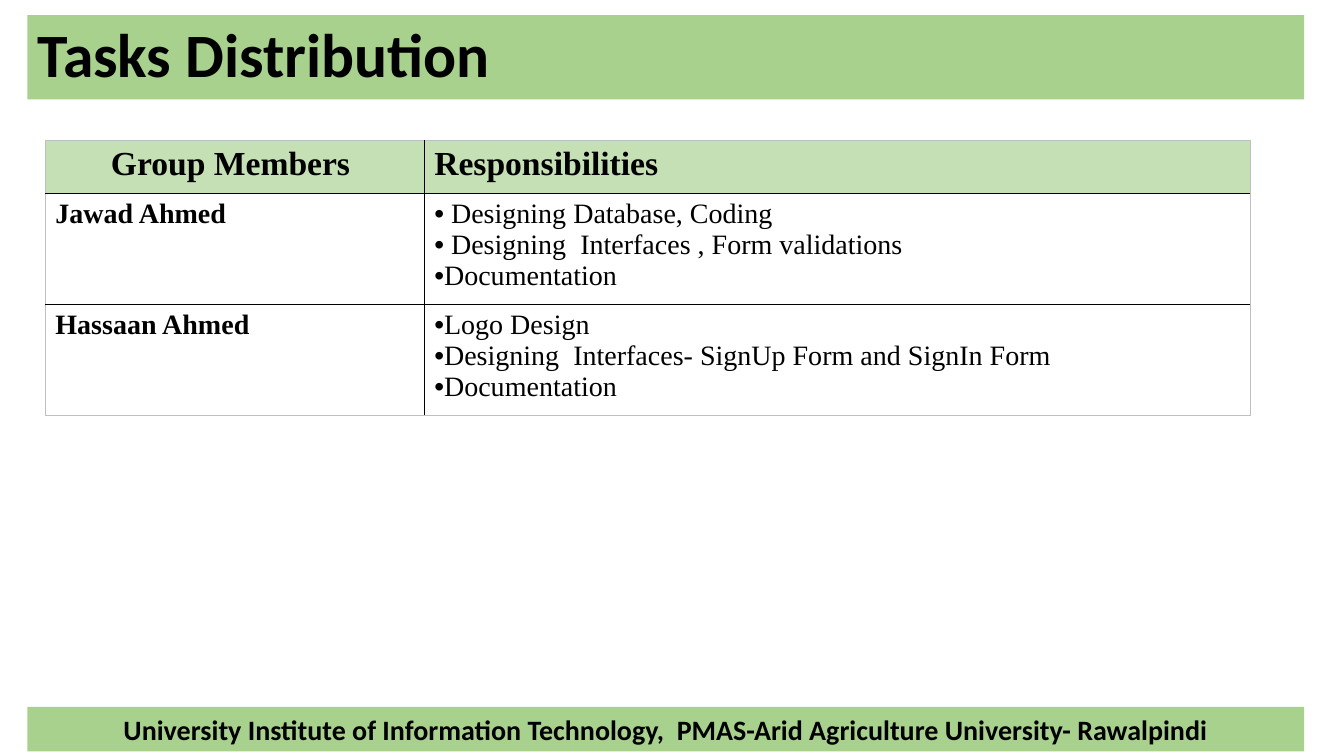
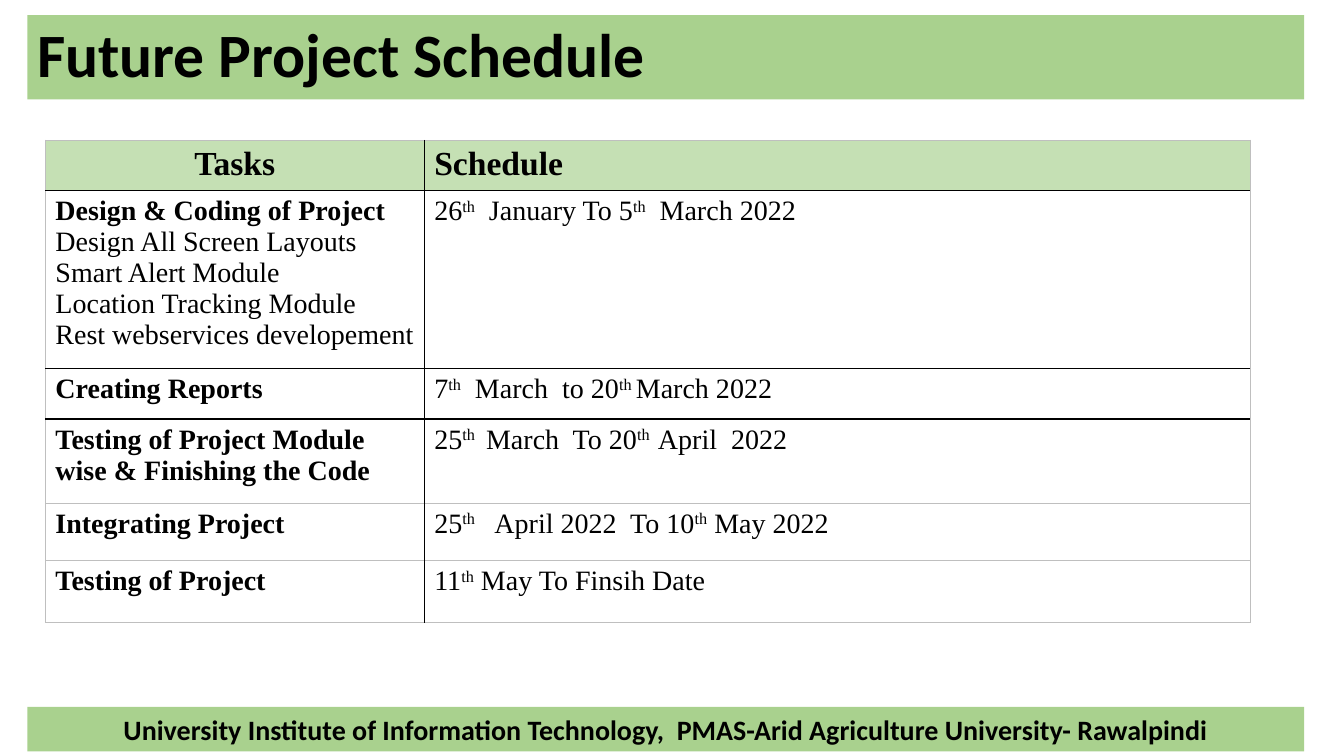
from dataclasses import dataclass

from lxml.etree import SubElement
from pptx import Presentation as Deck
from pptx.dml.color import RGBColor as Color
from pptx.enum.shapes import MSO_SHAPE as Kind
from pptx.enum.text import MSO_ANCHOR as Anchor, PP_ALIGN as Align
from pptx.oxml import parse_xml
from pptx.oxml.ns import nsdecls, qn
from pptx.util import Pt


@dataclass(frozen=True)
class Theme:
    band: str = "A9D18E"
    head: str = "C5E0B4"
    ink: str = "000000"
    edge: str = "BFBFBF"
    sans: str = "Calibri"
    serif: str = "Times New Roman"
    title: int = 44
    label: int = 24
    body: int = 20
    rule: float = 1
    frame: float = 0.5


@dataclass(frozen=True)
class Line:
    text: str
    size: int = Theme.body
    bold: bool = False
    dot: bool = False
    align: Align = Align.LEFT


@dataclass(frozen=True)
class Box:
    left: float
    top: float
    width: float
    height: float = 0

    def points(self):
        return [Pt(v) for v in (self.left, self.top, self.width, self.height)]


LOOK = Theme()
PAGE = Box(0, 0, 960, 540)
TITLE = Box(19.5, 10.8, 912, 60.2)
FOOT = Box(19.5, 505, 912, 31.7)
GRID = Box(32.4, 100.1, 860.6)
SPLIT = 270.6 / 860.6
CREDIT = "University Institute of Information Technology,  PMAS-Arid Agriculture University- Rawalpindi"


def add_run(para, text, face, size, bold, raised=False):
    run = para.add_run()
    run.text = text
    font = run.font
    font.name, font.size, font.bold = face, Pt(size), bold
    font.color.rgb = Color.from_string(LOOK.ink)
    if raised:
        font._element.set("baseline", "30000")


def add_band(slide, box, text, size, align, space=1.0):
    band = slide.shapes.add_shape(Kind.RECTANGLE, *box.points())
    band.shadow.inherit = False
    band.fill.solid()
    band.fill.fore_color.rgb = Color.from_string(LOOK.band)
    band.line.fill.background()
    frame = band.text_frame
    frame.word_wrap = True
    frame.vertical_anchor = Anchor.MIDDLE
    para = frame.paragraphs[0]
    para.alignment, para.line_spacing = align, space
    add_run(para, text, LOOK.sans, size, True)


def add_line(para, line):
    para.alignment = line.align
    if line.dot:
        props = para._p.get_or_add_pPr()
        props.set("marL", "0")
        props.set("indent", "0")
        SubElement(props, qn("a:buFont"), typeface="Arial")
        SubElement(props, qn("a:buChar"), char="•")
    for i, part in enumerate(line.text.split("^")):
        if part:
            add_run(para, part, LOOK.serif, line.size, line.bold, i % 2 == 1)


def set_edges(cell, outer):
    props = cell._tc.get_or_add_tcPr()
    for i, side in enumerate("LRTB"):
        tone, wide = (LOOK.edge, LOOK.frame) if side in outer else (LOOK.ink, LOOK.rule)
        props.insert(i, parse_xml(
            f'<a:ln{side} {nsdecls("a")} w="{Pt(wide)}"><a:solidFill>'
            f'<a:srgbClr val="{tone}"/></a:solidFill></a:ln{side}>'))


def fill_cell(cell, lines, shade):
    if shade:
        cell.fill.solid()
        cell.fill.fore_color.rgb = Color.from_string(LOOK.head)
    else:
        cell.fill.background()
    frame = cell.text_frame
    for i, line in enumerate(lines):
        add_line(frame.add_paragraph() if i else frame.paragraphs[0], line)


def add_grid(slide, box, rows, headed):
    tall = sum(high for high, *_ in rows)
    area = Box(box.left, box.top, box.width, tall)
    table = slide.shapes.add_table(len(rows), 2, *area.points()).table
    table.first_row = table.horz_banding = False
    for col, share in zip(table.columns, (SPLIT, 1 - SPLIT)):
        col.width = Pt(box.width * share)
    for r, (high, *cells) in enumerate(rows):
        table.rows[r].height = Pt(high)
        for c, lines in enumerate(cells):
            cell = table.cell(r, c)
            fill_cell(cell, lines, headed and r == 0)
            outer = "LR"[c] + "T" * (r == 0) + "B" * (r == len(rows) - 1)
            set_edges(cell, outer)
    return box.top + tall


def add_page(deck, title, grids):
    slide = deck.slides.add_slide(deck.slide_layouts[6])
    add_band(slide, TITLE, title, LOOK.title, Align.LEFT, 0.9)
    add_band(slide, FOOT, CREDIT, LOOK.body, Align.CENTER)
    top = GRID.top
    for i, rows in enumerate(grids):
        top = add_grid(slide, Box(GRID.left, top, GRID.width), rows, i == 0)


def head(high, left, right):
    return (high, [Line(left, LOOK.label, True, align=Align.CENTER)],
            [Line(right, LOOK.label, True)])


def duty(name, *tasks):
    return 79.2, [Line(name, bold=True)], [Line(t, dot=True) for t in tasks]


def stage(high, dates, name, *steps):
    return high, [Line(name, bold=True), *map(Line, steps)], [Line(dates)]


TASKS = [[
    head(38.2, "Group Members ", "Responsibilities"),
    duty("Jawad Ahmed", " Designing Database, Coding",
         " Designing  Interfaces , Form validations", "Documentation"),
    duty("Hassaan Ahmed", "Logo Design",
         "Designing  Interfaces- SignUp Form and SignIn Form", "Documentation"),
]]

PLAN = [
    [
        head(36, "Tasks", "Schedule"),
        stage(127.2, "26^th^  January To 5^th^  March 2022",
              "Design & Coding of Project", "Design All Screen Layouts",
              "Smart Alert Module", "Location Tracking Module",
              "Rest webservices developement"),
        stage(36, "7^th^  March  to 20^th ^March 2022", "Creating Reports"),
        stage(60.2, "25^th ^ March  To 20^th  ^April  2022",
              "Testing of Project Module wise & Finishing the Code"),
    ],
    [stage(41, "25^th^   April 2022  To 10^th^ May 2022", "Integrating Project")],
    [stage(44, "11^th^ May To Finsih Date", "Testing of Project")],
]


def main():
    deck = Deck()
    deck.slide_width, deck.slide_height = Pt(PAGE.width), Pt(PAGE.height)
    add_page(deck, "Tasks Distribution", TASKS)
    add_page(deck, "Future Project Schedule", PLAN)
    deck.save("out.pptx")


if __name__ == "__main__":
    main()
